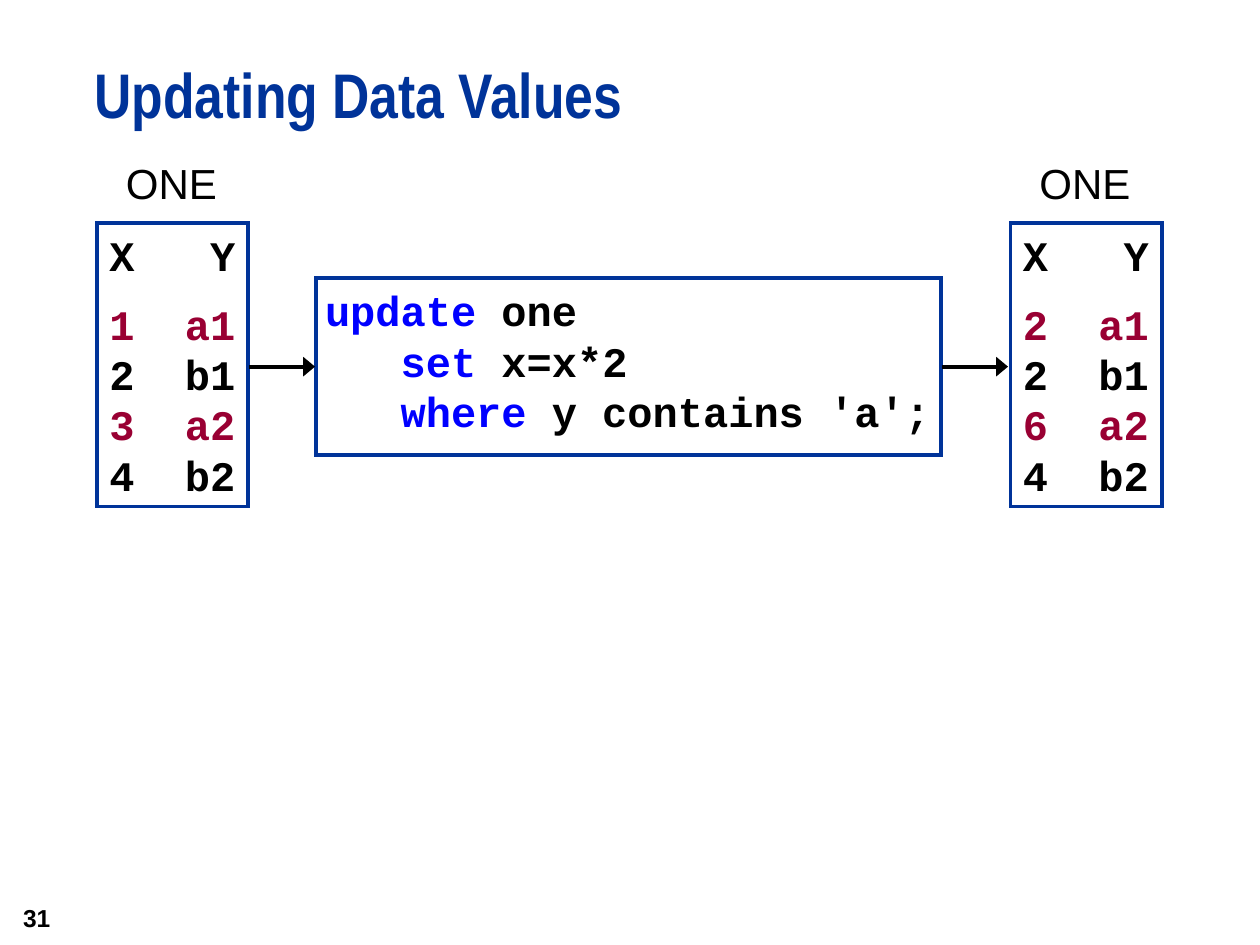
from pptx import Presentation
from pptx.dml.color import RGBColor
from pptx.enum import shapes, text
from pptx.oxml import ns, xmlchemy as xml
from pptx.util import Inches, Pt

NAVY, BLUE, RED, BLACK, WHITE = "003399", "0000FF", "990033", "000000", "FFFFFF"
MONO = "Courier New"


def color(hue):
    """Turn a hex string into a colour."""
    return RGBColor.from_string(hue)


def style(font, name, size, hue, bold=False):
    """Set the look of a font."""
    font.name, font.size, font.bold = name, Pt(size), bold
    font.color.rgb = color(hue)


def inset(frame, left, top, right, bottom):
    """Set the margins of a text frame, with the text at its top."""
    frame.margin_left, frame.margin_right = Inches(left), Inches(right)
    frame.margin_top, frame.margin_bottom = Inches(top), Inches(bottom)
    frame.vertical_anchor = text.MSO_ANCHOR.TOP


def child(parent, tag, **attrs):
    """Append an XML element with its attributes."""
    node = xml.OxmlElement(tag)
    for key, value in attrs.items():
        node.set(key, value)
    parent.append(node)


def stroke(line, hue):
    """Set the colour and width of a line, with sharp corners."""
    line.color.rgb = color(hue)
    line.width = Pt(2.24)
    child(line._get_or_add_ln(), "a:miter", lim="800000")


def label(slide, words, box, size, bold=False):
    """Add one line of plain text and return its paragraph."""
    frame = slide.shapes.add_textbox(*map(Inches, box)).text_frame
    inset(frame, 0, 0, 0, 0)
    frame.word_wrap = True
    line = frame.paragraphs[0]
    line.text = words
    style(line.font, "Arial", size, BLACK, bold)
    return line


def panel(slide, box, left):
    """Add a framed white box and return its text frame."""
    shape = slide.shapes.add_shape(shapes.MSO_SHAPE.RECTANGLE, *map(Inches, box))
    shape.shadow.inherit = False
    shape.fill.solid()
    shape.fill.fore_color.rgb = color(WHITE)
    stroke(shape.line, NAVY)
    frame = shape.text_frame
    inset(frame, left, 0.05, 0, 0.05)
    frame.word_wrap = True
    return frame


def add_line(frame, first):
    """Return the next left-aligned paragraph of a frame."""
    line = frame.paragraphs[0] if first else frame.add_paragraph()
    line.alignment = text.PP_ALIGN.LEFT
    return line


def tab_stop(line, pos):
    """Give a paragraph one left tab stop."""
    tabs = xml.OxmlElement("a:tabLst")
    child(tabs, "a:tab", pos=str(Inches(pos)), algn="l")
    props = line._p.get_or_add_pPr()
    props.insert_element_before(tabs, "a:defRPr", "a:extLst")


def data_set(slide, left, top, rows):
    """Add a named data set: a caption above a box of X and Y values."""
    label(slide, "ONE", (left + 0.23, top - 0.52, 0.76, 0.4), 24)
    frame = panel(slide, (left, top, 1.2, 2.25), 0.1)
    for i, (x, y) in enumerate([("X", "Y")] + rows):
        line = add_line(frame, i == 0)
        line.text = f"{x}\t{y}"
        style(line.font, MONO, 24, RED if y.startswith("a") else BLACK, True)
        tab_stop(line, 0.6 if i else 0.8)
        if i < 2:
            line.space_before = Pt(10.5 if i else 15)


def code(slide, box, lines):
    """Add the program, each line an indent, a keyword and the rest."""
    frame = panel(slide, box, 0.07)
    for i, (indent, word, rest) in enumerate(lines):
        line = add_line(frame, i == 0)
        line._p.get_or_add_pPr().set("marL", str(Inches(indent)))
        for part, hue in ((word, BLUE), (" " + rest, BLACK)):
            run = line.add_run()
            run.text = part
            style(run.font, MONO, 24, hue, True)


def arrow(slide, left, right, y):
    """Add a level arrow that points right."""
    link = slide.shapes.add_connector(
        shapes.MSO_CONNECTOR.STRAIGHT, *map(Inches, (left, y, right, y)))
    stroke(link.line, BLACK)
    child(link.line._get_or_add_ln(), "a:tailEnd", type="triangle", w="lg")
    child(link._element.find(ns.qn("p:spPr")), "a:effectLst")


def heading(slide, words, box):
    """Place and format the title."""
    title = slide.shapes.title
    title.left, title.top, title.width, title.height = map(Inches, box)
    frame = title.text_frame
    frame.text = words
    frame.auto_size = text.MSO_AUTO_SIZE.NONE
    inset(frame, 0, 0, 0, 0)
    line = frame.paragraphs[0]
    line.alignment = text.PP_ALIGN.LEFT
    line.line_spacing = Pt(39)
    style(line.font, "Arial Narrow", 36, NAVY, True)


def main():
    """Build the slide and save it."""
    deck = Presentation()
    deck.slide_width, deck.slide_height = Inches(10), Inches(7.5)
    slide = deck.slides.add_slide(deck.slide_layouts[5])
    heading(slide, "Updating Data Values", (0.75, 0.5, 9.25, 0.75))
    code(slide, (2.51, 2.21, 4.96, 1.4), [
        (0, "update", "one"),
        (0.6, "set", "x=x*2"),
        (0.6, "where", "y contains 'a';"),
    ])
    keys = ["a1", "b1", "a2", "b2"]
    for left, values in ((0.77, "1234"), (8.02, "2264")):
        data_set(slide, left, 1.77, list(zip(values, keys)))
    for left in (1.98, 7.48):
        arrow(slide, left, left + 0.52, 2.91)
    number = label(slide, "31", (0, 7.17, 0.4, 0.25), 14, True)
    number.alignment = text.PP_ALIGN.RIGHT
    deck.save("out.pptx")


main()
